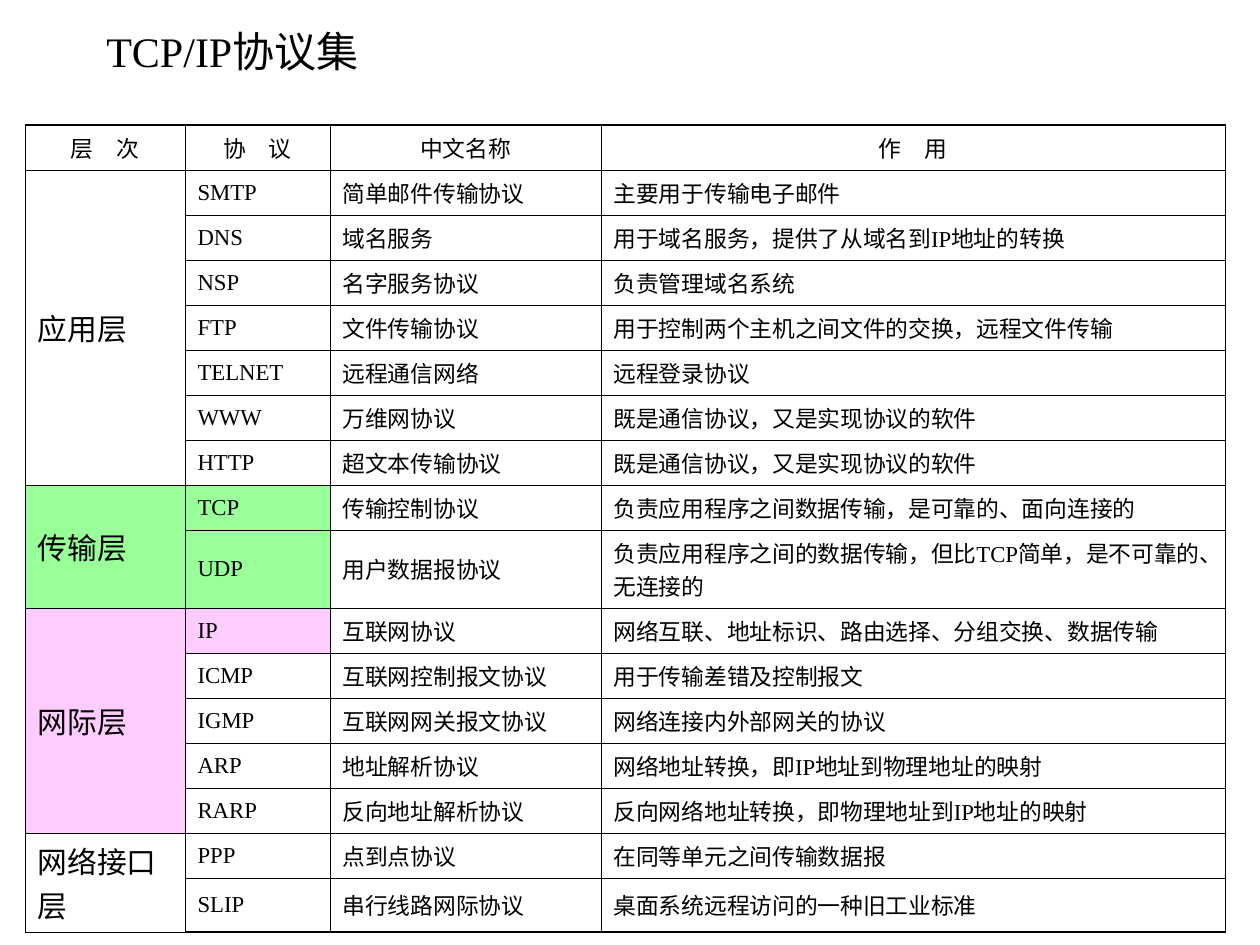
from lxml import etree
from pptx import Presentation
from pptx import util as u
from pptx.dml.color import RGBColor
from pptx.enum import text
from pptx.oxml import ns

SCALE = u.Inches(1) / 126
BLACK = RGBColor(0, 0, 0)
GREEN = RGBColor(0x99, 0xFF, 0x99)
PINK = RGBColor(0xFF, 0xCC, 0xFF)
FONT = "Times New Roman"
SIDE_LINE, TOP_LINE, INNER_LINE = 0.34, 0.96, 0.45

HEADINGS = ["层　次", "协　议", "中文名称", "作　用"]
LAYERS = [
    ("应用层", None, [
        ("SMTP", "简单邮件传输协议", "主要用于传输电子邮件"),
        ("DNS", "域名服务", "用于域名服务，提供了从域名到IP地址的转换"),
        ("NSP", "名字服务协议", "负责管理域名系统"),
        ("FTP", "文件传输协议", "用于控制两个主机之间文件的交换，远程文件传输"),
        ("TELNET", "远程通信网络", "远程登录协议"),
        ("WWW", "万维网协议", "既是通信协议，又是实现协议的软件"),
        ("HTTP", "超文本传输协议", "既是通信协议，又是实现协议的软件"),
    ]),
    ("传输层", GREEN, [
        ("TCP", "传输控制协议", "负责应用程序之间数据传输，是可靠的、面向连接的"),
        ("UDP", "用户数据报协议",
         "负责应用程序之间的数据传输，但比TCP简单，是不可靠的、无连接的"),
    ]),
    ("网际层", PINK, [
        ("IP", "互联网协议", "网络互联、地址标识、路由选择、分组交换、数据传输"),
        ("ICMP", "互联网控制报文协议", "用于传输差错及控制报文"),
        ("IGMP", "互联网网关报文协议", "网络连接内外部网关的协议"),
        ("ARP", "地址解析协议", "网络地址转换，即IP地址到物理地址的映射"),
        ("RARP", "反向地址解析协议", "反向网络地址转换，即物理地址到IP地址的映射"),
    ]),
    ("网络接口层", None, [
        ("PPP", "点到点协议", "在同等单元之间传输数据报"),
        ("SLIP", "串行线路网际协议", "桌面系统远程访问的一种旧工业标准"),
    ]),
]
FILLED_PROTOCOLS = {"TCP": GREEN, "UDP": GREEN, "IP": PINK}
COLUMN_WIDTHS = [160, 145, 271, 624]
ROW_HEIGHTS = [45] * 9 + [78] + [45] * 6 + [54]


def px(length):
    return u.Emu(round(length * SCALE))


def write(para, words, size, align=text.PP_ALIGN.LEFT):
    para.alignment = align
    span = para.add_run()
    span.text = words
    span.font.color.rgb = BLACK
    for name, value in {"name": FONT, "size": u.Pt(size)}.items():
        setattr(span.font, name, value)


deck = Presentation()
deck.slide_width, deck.slide_height = px(1260), px(945)
page = deck.slides.add_slide(deck.slide_layouts[6])

title = page.shapes.add_textbox(px(94), px(26), px(1008), px(49)).text_frame
title.word_wrap = True
title.vertical_anchor = text.MSO_ANCHOR.MIDDLE
write(title.paragraphs[0], "TCP/IP协议集", 24)

frame = page.shapes.add_table(
    len(ROW_HEIGHTS), len(COLUMN_WIDTHS), px(25), px(125),
    px(sum(COLUMN_WIDTHS)), px(sum(ROW_HEIGHTS)))
table = frame.table
for name in ("first_row", "horz_banding"):
    setattr(table, name, False)
for column, width in zip(table.columns, COLUMN_WIDTHS):
    column.width = px(width)
for row, height in zip(table.rows, ROW_HEIGHTS):
    row.height = px(height)

for col, heading in enumerate(HEADINGS):
    write(table.cell(0, col).text_frame.paragraphs[0], heading, 13,
          text.PP_ALIGN.CENTER)

fills = {}
row = 1
for layer, color, protocols in LAYERS:
    last = row + len(protocols) - 1
    table.cell(row, 0).merge(table.cell(last, 0))
    write(table.cell(row, 0).text_frame.paragraphs[0], layer, 17)
    for protocol in protocols:
        fills[row, 0] = color
        fills[row, 1] = FILLED_PROTOCOLS.get(protocol[0])
        for col, words in enumerate(protocol, 1):
            write(table.cell(row, col).text_frame.paragraphs[0], words, 13)
        row += 1

last_row, last_col = len(ROW_HEIGHTS) - 1, len(COLUMN_WIDTHS) - 1
for row in range(last_row + 1):
    for col in range(last_col + 1):
        cell = table.cell(row, col)
        cell.vertical_anchor = text.MSO_ANCHOR.MIDDLE
        color = fills.get((row, col))
        if color is None:
            cell.fill.background()
        else:
            cell.fill.solid()
            cell.fill.fore_color.rgb = color
        borders = {
            "a:lnL": SIDE_LINE if col == 0 else INNER_LINE,
            "a:lnR": SIDE_LINE if col == last_col else INNER_LINE,
            "a:lnT": TOP_LINE if row == 0 else INNER_LINE,
            "a:lnB": TOP_LINE if row == last_row else INNER_LINE,
        }
        properties = cell._tc.get_or_add_tcPr()
        for place, (tag, width) in enumerate(borders.items()):
            line = etree.Element(ns.qn(tag), w=str(u.Pt(width)))
            solid = etree.SubElement(line, ns.qn("a:solidFill"))
            etree.SubElement(solid, ns.qn("a:srgbClr"), val=str(BLACK))
            properties.insert(place, line)

deck.save("out.pptx")
